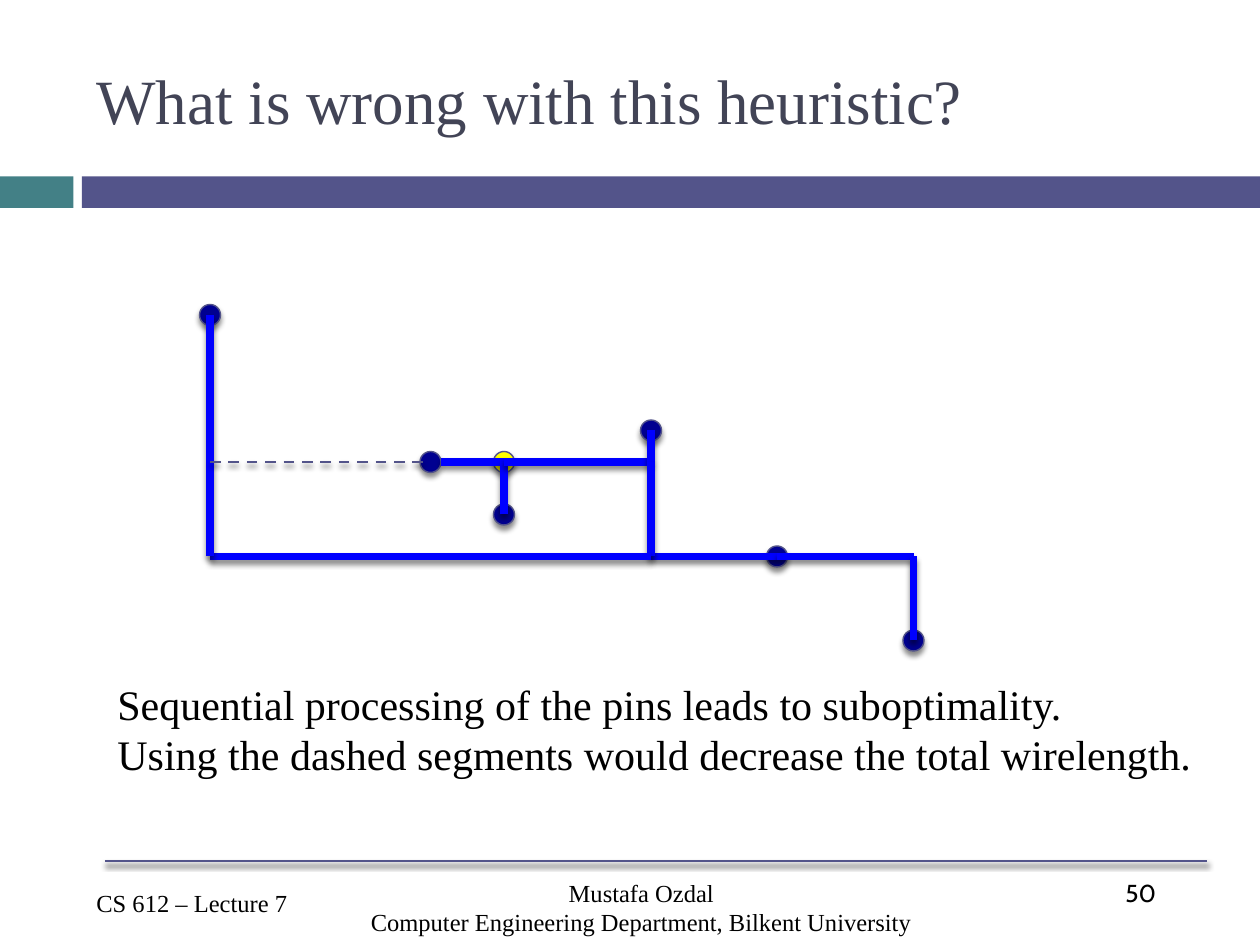
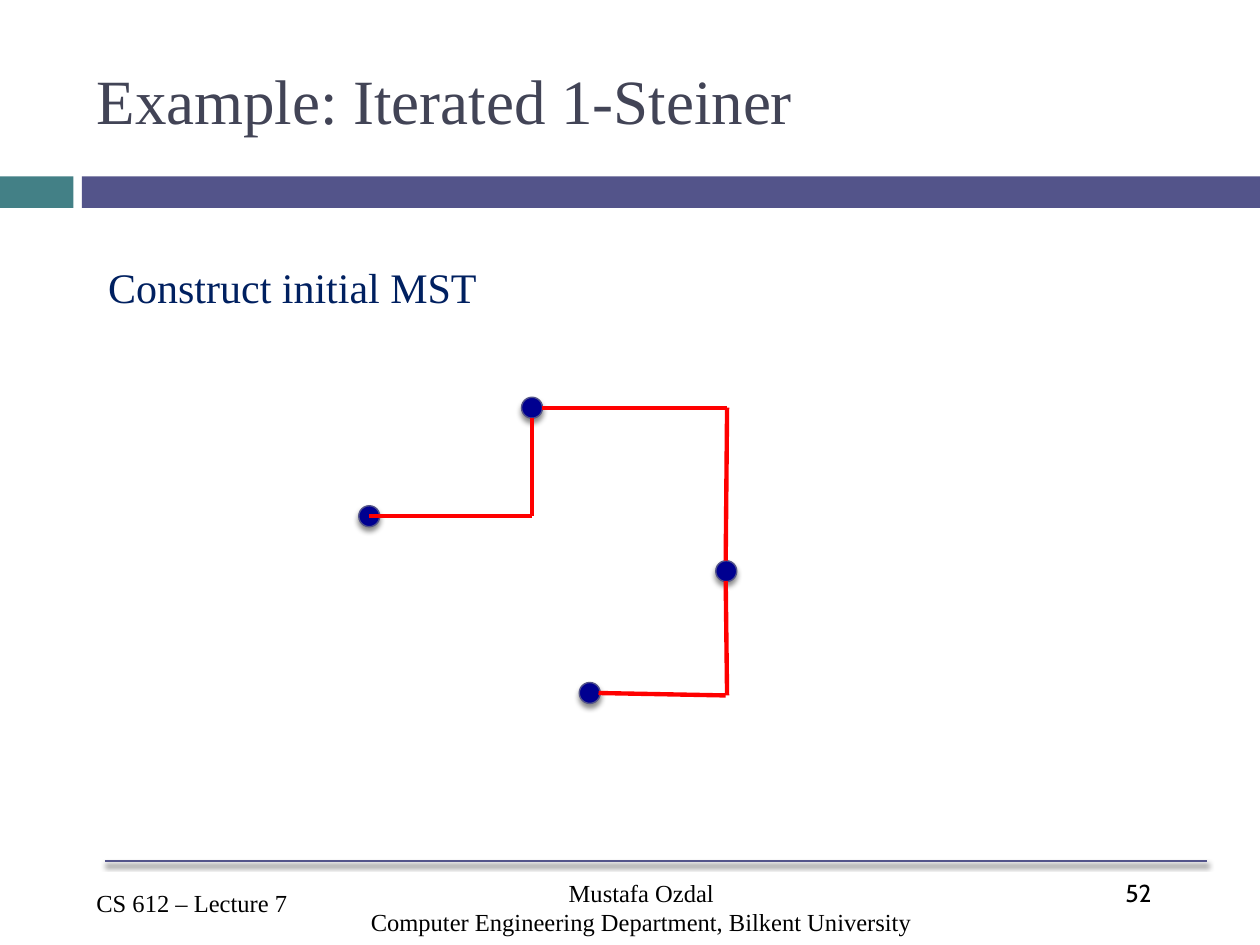
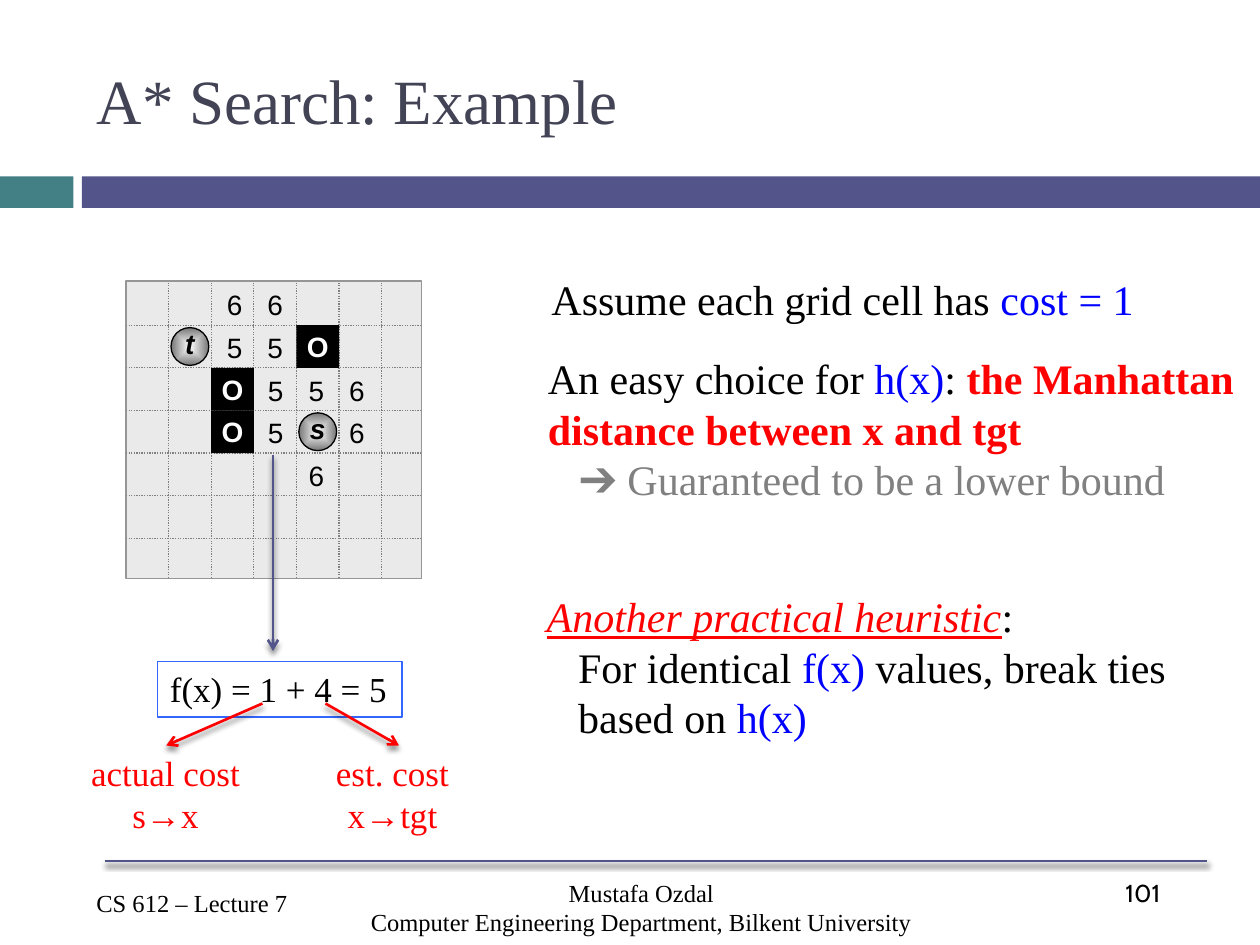
from lxml.etree import SubElement as Sub
from pptx import Presentation
from pptx.dml.color import RGBColor as Rgb
from pptx.enum.dml import MSO_LINE as Dash
from pptx.enum.shapes import MSO_CONNECTOR as Link, MSO_SHAPE as Form
from pptx.enum.text import MSO_ANCHOR as Anchor, PP_ALIGN as Align
from pptx.oxml.ns import qn
from pptx.util import Pt

HUES = {
    "teal": "438086", "indigo": "53548A", "slate": "424456", "black": "000000",
    "white": "FFFFFF", "navy": "000090", "deep": "002060", "blue": "0000FF",
    "azure": "3366FF", "red": "FF0000", "yellow": "FFFF00", "grey": "808080",
    "pale": "EAEAEA", "edge": "969696", "steel": "777777",
}
SERIF, SANS, DIGIT = "Times New Roman", "Arial", "Cabin"

BANDS = [("teal", (0, 100.8, 42, 18)), ("indigo", (46.8, 100.8, 673.2, 18))]
COURSE = "CS 612 – Lecture 7"
AUTHOR = ["Mustafa Ozdal", "Computer Engineering Department, Bilkent University"]
PIN = 12

HEUR = {
    "title": "What is wrong with this heuristic?",
    "num": "50",
    "pins": [
        (120, 180, "navy"), (246, 264, "navy"), (288, 294, "navy"),
        (372, 246, "navy"), (444, 318, "navy"), (288, 264, "yellow"),
        (522, 366, "navy"),
    ],
    "wires": [
        (252, 264, 288, 264), (288, 294, 288, 264), (288, 264, 372, 264),
        (372, 264, 372, 246), (372, 318, 444, 318), (372, 318, 372, 264),
        (120, 318, 372, 318), (120, 318, 120, 180), (444, 318, 522, 318),
        (522, 366, 522, 318),
    ],
    "dashed": (120, 264, 246, 264),
    "note": [
        "Sequential processing of the pins leads to suboptimality.",
        "Using the dashed segments would decrease the total wirelength.",
    ],
}

STEIN = {
    "title": "Example: Iterated 1-Steiner",
    "num": "52",
    "pins": [
        (211, 295, "navy"), (304, 233, "navy"),
        (337, 396, "navy"), (415, 326.4, "navy"),
    ],
    "wires": [
        (211, 295, 304, 295), (304, 239, 304, 295), (310, 233, 415.5, 233),
        (415.5, 233, 414.7, 320.4), (414.7, 332, 415.5, 397.4),
        (342, 396, 414.7, 397.4),
    ],
    "note": ["Construct initial MST"],
}

STAR = {
    "title": "A* Search: Example",
    "num": "101",
    "costs": [
        (0, 2, "6"), (0, 3, "6"), (1, 2, "5"), (1, 3, "5"), (2, 3, "5"),
        (2, 4, "5"), (2, 5, "6"), (3, 3, "5"), (3, 5, "6"), (4, 4, "6"),
    ],
    "walls": [(1, 4), (2, 2), (3, 2)],
    "ends": [("s", 3, 4), ("t", 1, 1)],
    "notes": [
        ((308, 152.6, 351, 36), [
            [("Assume each grid cell has ", "black", ""), ("cost = 1", "blue", "")],
        ], 0),
        ((306, 198, 411, 94), [
            [("An easy choice for ", "black", ""), ("h(x)", "blue", ""),
             (": ", "black", ""), ("the Manhattan", "red", "b")],
            [("distance between x and tgt", "red", "b")],
            [("➔ Guaranteed to be a lower bound", "grey", "")],
        ], 1),
        ((305.3, 334, 375, 94), [
            [("Another practical heuristic", "red", "iu"), (":", "black", "")],
            [("For identical", "black", ""), (" f(x) ", "blue", ""),
             ("values, break ties", "black", "")],
            [("based on ", "black", ""), ("h(x)", "blue", "")],
        ], 2),
    ],
    "sum": "f(x) = 1 + 4 = 5",
    "parts": [
        ((44.6, 426, 100, 55), ["actual cost", "s→x"]),
        ((184.3, 426, 80, 55), ["est. cost", "x→tgt"]),
    ],
    "arrows": [
        ((156, 260, 156, 372), "indigo"),
        ((150, 402, 95, 426), "red"),
        ((186, 402, 228, 426), "red"),
    ],
}

SIDE, STEP = 7, 24.35
LEFT, TOP = 72, 161.5


def hue(name):
    return Rgb.from_string(HUES[name])


def pts(vals):
    return [Pt(v) for v in vals]


def cast(shape):
    props = shape.element.spPr
    fx = props.find(qn("a:effectLst"))
    if fx is None:
        fx = Sub(props, qn("a:effectLst"))
    drop = Sub(fx, qn("a:outerShdw"), blurRad=str(Pt(3)), dist=str(Pt(2.4)),
               dir="5400000", rotWithShape="0")
    tint = Sub(drop, qn("a:srgbClr"), val=HUES["black"])
    Sub(tint, qn("a:alpha"), val="45000")


def draw(slide, form, box, fill, edge=None, width=0.75):
    shape = slide.shapes.add_shape(form, *pts(box))
    shape.shadow.inherit = False
    shape.fill.solid()
    shape.fill.fore_color.rgb = hue(fill)
    if edge:
        shape.line.color.rgb = hue(edge)
        shape.line.width = Pt(width)
    else:
        shape.line.fill.background()
    return shape


def join(slide, ends, tint, width, dash=None, shade=True, arrow=False):
    line = slide.shapes.add_connector(Link.STRAIGHT, *pts(ends))
    line.line.color.rgb = hue(tint)
    line.line.width = Pt(width)
    if dash:
        line.line.dash_style = dash
    if arrow:
        Sub(line.line._ln, qn("a:tailEnd"), type="arrow")
    if shade:
        cast(line)
    else:
        Sub(line.element.spPr, qn("a:effectLst"))


def style(font, size, tint, face, marks=""):
    font.name, font.size = face, Pt(size)
    font.color.rgb = hue(tint)
    if "b" in marks:
        font.bold = True
    if "i" in marks:
        font.italic = True


def say(slide, box, lines, size=24, tint="black", face=SERIF,
        align=Align.LEFT, wrap=False, dent=()):
    area = slide.shapes.add_textbox(*pts(box))
    frame = area.text_frame
    frame.word_wrap = wrap
    for at, line in enumerate(lines):
        para = frame.paragraphs[0] if at == 0 else frame.add_paragraph()
        para.alignment = align
        if at in dent:
            para._p.get_or_add_pPr().set("marL", str(Pt(18)))
        if isinstance(line, str):
            para.text = line
            style(para.font, size, tint, face)
            continue
        para.font.name, para.font.size = face, Pt(size)
        for text, ink, marks in line:
            run = para.add_run()
            run.text = text
            run.font.color.rgb = hue(ink)
            run.font.bold = "b" in marks
            run.font.italic = "i" in marks
            run.font.underline = "u" in marks
    return area


def label(shape, text, tint, marks, lift=0):
    frame = shape.text_frame
    frame.margin_left = frame.margin_right = frame.margin_top = 0
    frame.margin_bottom = Pt(lift)
    frame.word_wrap = False
    frame.vertical_anchor = Anchor.MIDDLE
    para = frame.paragraphs[0]
    para.text = text
    para.alignment = Align.CENTER
    style(para.font, 16, tint, SANS, marks)


def start(deck, data):
    slide = deck.slides.add_slide(deck.slide_layouts[5])
    for tint, box in BANDS:
        draw(slide, Form.RECTANGLE, box, tint)
    say(slide, (636, 498, 54, 36), [data["num"]], 14, face=DIGIT, wrap=True)
    join(slide, (60, 492, 690, 492), "indigo", 1.5)
    say(slide, (48, 504, 132, 24.5), [COURSE], 14, wrap=True)
    say(slide, (120, 498, 493, 42), AUTHOR, 14, align=Align.CENTER, wrap=True)
    title = slide.shapes.title
    title.left, title.top, title.width, title.height = pts((48, 18, 642, 78))
    title.text_frame.vertical_anchor = Anchor.MIDDLE
    para = title.text_frame.paragraphs[0]
    para.text = data["title"]
    para.alignment = Align.LEFT
    style(para.font, 36, "slate", SERIF)
    return slide


def net(slide, data, tint, width, shade):
    for x, y, fill in data["pins"]:
        box = (x - PIN / 2, y - PIN / 2, PIN, PIN)
        cast(draw(slide, Form.OVAL, box, fill, "indigo", 0.8))
    for ends in data["wires"]:
        join(slide, ends, tint, width, shade=shade)


def board(slide):
    size = SIDE * STEP
    draw(slide, Form.RECTANGLE, (LEFT, 160.5, 169, 170), "pale", "edge")
    for n in range(1, SIDE):
        x, y = LEFT + n * STEP, TOP + n * STEP
        for ends in ((LEFT, y, LEFT + 169, y), (x, TOP, x, TOP + size - 1)):
            join(slide, ends, "grey", 0.75, Dash.ROUND_DOT, False)


def ball(slide, name, row, col):
    gap = (STEP - 21.6) / 2
    box = (LEFT + col * STEP + gap, TOP + row * STEP + gap, 21.6, 21.6)
    shape = draw(slide, Form.OVAL, box, "white", "black")
    shape.fill.gradient()
    for stop, tint in zip(shape.fill.gradient_stops, ("white", "steel")):
        stop.color.rgb = hue(tint)
    grad = shape.element.spPr.find(qn("a:gradFill"))
    grad.remove(grad.find(qn("a:lin")))
    way = Sub(grad, qn("a:path"), path="shape")
    Sub(way, qn("a:fillToRect"), l="50000", t="50000", r="50000", b="50000")
    label(shape, name, "black", "bi", 4)


def heur(deck):
    slide = start(deck, HEUR)
    net(slide, HEUR, "blue", 4.5, True)
    say(slide, (60, 384, 628.6, 65.5), HEUR["note"])
    join(slide, HEUR["dashed"], "indigo", 1.5, Dash.DASH)


def stein(deck):
    slide = start(deck, STEIN)
    net(slide, STEIN, "red", 2.5, False)
    say(slide, (54.7, 146, 226.8, 36), STEIN["note"], tint="deep")


def star(deck):
    slide = start(deck, STAR)
    board(slide)
    for row, col in STAR["walls"]:
        box = (LEFT + col * STEP, TOP + row * STEP, STEP, STEP)
        label(draw(slide, Form.RECTANGLE, box, "black"), "O", "white", "b")
    for name, row, col in STAR["ends"]:
        ball(slide, name, row, col)
    for row, col, cost in STAR["costs"]:
        mid = 134 + 23.2 * (col - 2)
        wide = 40 if row < 2 else 22.3
        box = (mid - wide / 2, TOP - 0.5 + row * STEP, wide, 26.6)
        say(slide, box, [cost], 16, face=SANS, align=Align.CENTER, wrap=True)
    for box, lines, first in STAR["notes"]:
        dent = {0: (), 1: (2,), 2: (1, 2)}[first]
        say(slide, box, lines, dent=dent)
    frame = say(slide, (90, 378, 139.7, 31.7), [STAR["sum"]], 20)
    frame.line.color.rgb = hue("azure")
    frame.line.width = Pt(0.75)
    for box, lines in STAR["parts"]:
        say(slide, box, lines, 20, "red", align=Align.CENTER)
    for ends, tint in STAR["arrows"]:
        join(slide, ends, tint, 1.5, arrow=True)


def main():
    deck = Presentation()
    deck.slide_width, deck.slide_height = Pt(720), Pt(540)
    heur(deck)
    stein(deck)
    star(deck)
    deck.save("out.pptx")


if __name__ == "__main__":
    main()
